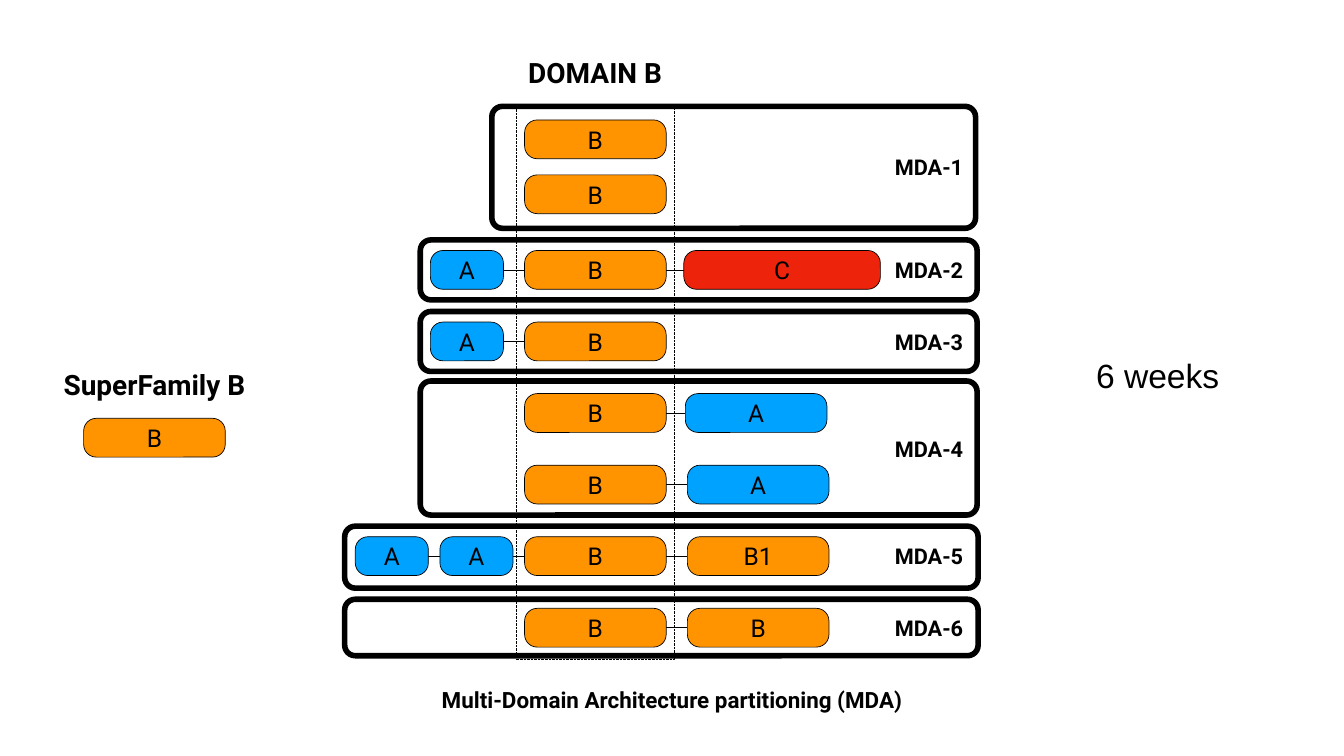
from pptx import Presentation
from pptx.dml.color import RGBColor
from pptx.enum.dml import MSO_LINE
from pptx.enum.shapes import MSO_CONNECTOR, MSO_SHAPE
from pptx.enum.text import MSO_ANCHOR, MSO_AUTO_SIZE, PP_ALIGN
from pptx.oxml.ns import qn
from pptx.util import Inches, Pt

ROUNDED, RECTANGLE = MSO_SHAPE.ROUNDED_RECTANGLE, MSO_SHAPE.RECTANGLE
STRAIGHT, DOTTED = MSO_CONNECTOR.STRAIGHT, MSO_LINE.ROUND_DOT
MIDDLE, CENTER, LEFT = MSO_ANCHOR.MIDDLE, PP_ALIGN.CENTER, PP_ALIGN.LEFT
FIT_SHAPE, FIXED = MSO_AUTO_SIZE.SHAPE_TO_FIT_TEXT, MSO_AUTO_SIZE.NONE
LEFT_SIDE, RIGHT_SIDE = 1, 3

COLORS = {"black": "000000", "blue": "00A2FF", "orange": "FF9300", "red": "EE230C"}

DOMAIN_HEIGHT, DOMAIN_RADIUS, FRAME_RADIUS = 0.77, 0.25, 0.21
SHORT, WIDE, LONG = 1.45, 2.81, 3.9
CORE_LEFT = 10.41
LABEL_LEFT, LABEL_WIDTH, LABEL_HEIGHT = 17.61, 1.65, 0.61

CORE = ("B", "orange", CORE_LEFT, WIDE)
LEADING_A = ("A", "blue", 8.54, SHORT)

GROUPS = [
    ("MDA-1", (9.76, 2.11, 9.6, 2.42), [(2.38, [CORE]), (3.47, [CORE])]),
    ("MDA-2", (8.34, 4.76, 11.05, 1.19),
     [(4.97, [LEADING_A, CORE, ("C", "red", 13.57, LONG)])]),
    ("MDA-3", (8.34, 6.18, 11.05, 1.19), [(6.39, [LEADING_A, CORE])]),
    ("MDA-4", (8.34, 7.56, 11.05, 2.66),
     [(7.81, [CORE, ("A", "blue", 13.6, WIDE)]),
      (9.23, [CORE, ("A", "blue", 13.64, WIDE)])]),
    ("MDA-5", (6.84, 10.44, 12.57, 1.23),
     [(10.65, [("A", "blue", 7.05, SHORT), ("A", "blue", 8.73, SHORT), CORE,
               ("B1", "orange", 13.64, WIDE)])]),
    ("MDA-6", (6.84, 11.89, 12.57, 1.12),
     [(12.07, [CORE, ("B", "orange", 13.64, WIDE)])]),
]

HEADINGS = [
    ("DOMAIN B", (10.38, 0.95, 2.86, 0.98), {"size": 40, "bold": True}),
    ("SuperFamily B", (0.78, 7.13, 4.57, 0.98), {"size": 40, "bold": True}),
    ("Multi-Domain Architecture partitioning (MDA)", (8.54, 13.53, 9.6, 0.7),
     {"size": 32, "bold": True, "inset": 0.08, "wrap": False}),
    ("6 weeks", (21.69, 7.06, 2.58, 0.88),
     {"size": 48, "font": "Arial", "inset": 0.06, "wrap": False,
      "align": LEFT, "spacing": 0.9}),
]
COLUMN = (10.25, 2.15, 3.13, 10.94)
SUPERFAMILY = (1.66, 8.3)


def color(name):
    return RGBColor.from_string(COLORS[name])


def write(holder, text, size=35, font="Roboto", bold=False, inset=0.02,
          wrap=True, align=CENTER, spacing=None):
    frame = holder.text_frame
    frame.margin_left = frame.margin_right = Inches(inset)
    frame.margin_top = frame.margin_bottom = Inches(inset)
    frame.vertical_anchor = MIDDLE
    frame.word_wrap = wrap
    frame.auto_size = FIXED if wrap else FIT_SHAPE
    paragraph = frame.paragraphs[0]
    paragraph.alignment = align
    if spacing:
        paragraph.line_spacing = spacing
    run = paragraph.add_run()
    run.text = text
    run.font.size, run.font.name, run.font.bold = Pt(size), font, bold
    run.font.color.rgb = color("black")


def add_text(slide, text, box, **style):
    write(slide.shapes.add_textbox(*map(Inches, box)), text, **style)


def add_box(slide, box, fill=None, line=1, radius=None):
    shape = slide.shapes.add_shape(ROUNDED if radius else RECTANGLE, *map(Inches, box))
    shape.shadow.inherit = False
    if radius:
        shape.adjustments[0] = radius / min(box[2:])
    if fill:
        shape.fill.solid()
        shape.fill.fore_color.rgb = color(fill)
    else:
        shape.fill.background()
    shape.line.color.rgb = color("black")
    shape.line.width = Pt(line)
    return shape


def add_domain(slide, top, text, fill, left, width):
    domain = add_box(slide, (left, top, width, DOMAIN_HEIGHT), fill, radius=DOMAIN_RADIUS)
    write(domain, text)
    return domain


def link(slide, before, after):
    connector = slide.shapes.add_connector(STRAIGHT, 0, 0, 0, 0)
    connector.begin_connect(before, RIGHT_SIDE)
    connector.end_connect(after, LEFT_SIDE)
    connector.line.color.rgb = color("black")
    connector.line.width = Pt(1)
    properties = connector._element.spPr
    properties.append(properties.makeelement(qn("a:effectLst"), {}))


def main():
    deck = Presentation()
    deck.slide_width, deck.slide_height = Inches(26.67), Inches(15)
    slide = deck.slides.add_slide(deck.slide_layouts[6])

    add_box(slide, COLUMN).line.dash_style = DOTTED
    for label, frame, rows in GROUPS:
        add_box(slide, frame, line=8, radius=FRAME_RADIUS)
        for top, architecture in rows:
            domains = [add_domain(slide, top, *domain) for domain in architecture]
            for before, after in zip(domains, domains[1:]):
                link(slide, before, after)
        label_top = (rows[0][0] + rows[-1][0] + DOMAIN_HEIGHT - LABEL_HEIGHT) / 2
        add_text(slide, label, (LABEL_LEFT, label_top, LABEL_WIDTH, LABEL_HEIGHT),
                 size=31, bold=True)

    for text, box, style in HEADINGS:
        add_text(slide, text, box, **style)
    left, top = SUPERFAMILY
    add_domain(slide, top, "B", "orange", left, WIDE)
    deck.save("out.pptx")


if __name__ == "__main__":
    main()
